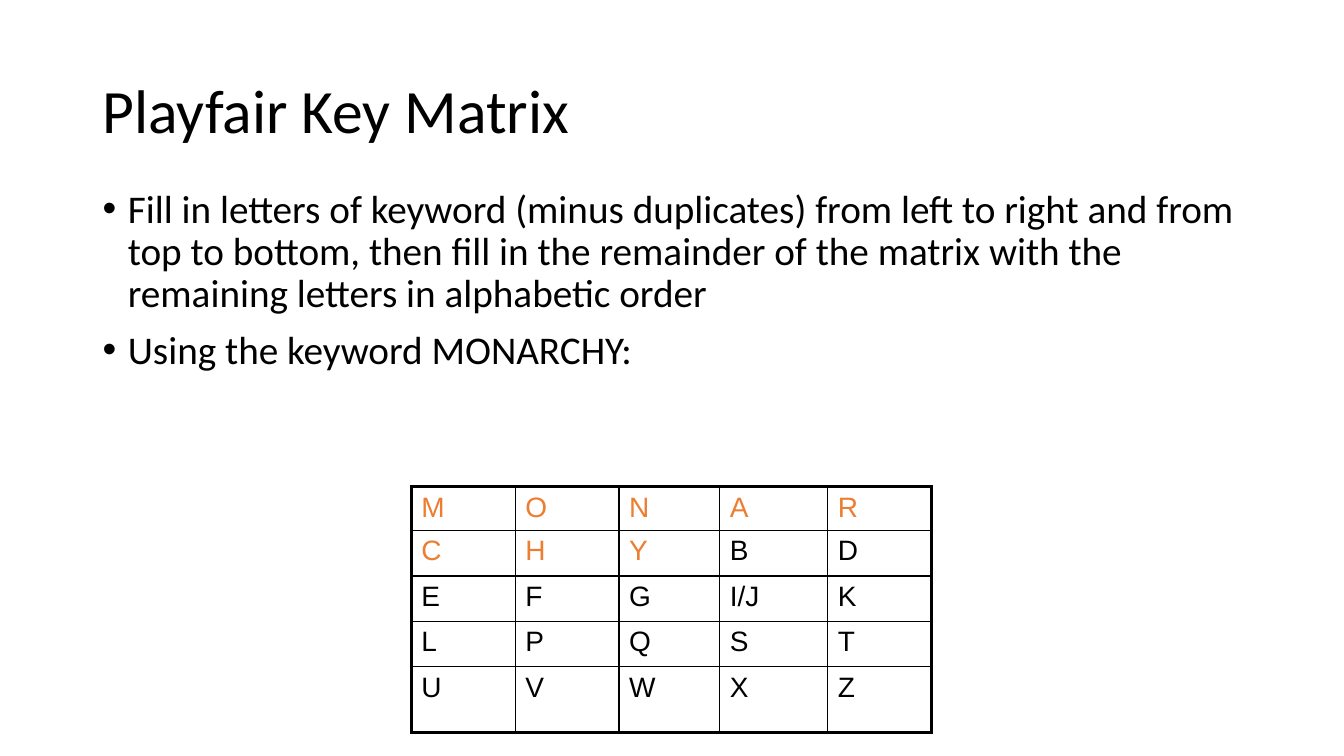
"""Build the Playfair Key Matrix slide."""
from lxml.etree import SubElement
from pptx import Presentation
from pptx.dml.color import RGBColor
from pptx.enum.text import MSO_ANCHOR
from pptx.oxml.ns import qn
from pptx.util import Inches, Pt

BLACK = RGBColor(0x00, 0x00, 0x00)
ORANGE = RGBColor(0xED, 0x7D, 0x31)
KEYWORD = "MONARCHY"
BULLETS = [
    "Fill in letters of keyword (minus duplicates) from left to right and from "
    "top to bottom, then fill in the remainder of the matrix with the "
    "remaining letters in alphabetic order",
    f"Using the keyword {KEYWORD}:",
]
COL_WIDTHS = [1.03, 1.03, 1, 1.07, 1.03]
ROW_HEIGHTS = [0.43, 0.45, 0.45, 0.45, 0.65]
SIZE = len(COL_WIDTHS)


def style(p, font, size, color):
    for r in p.runs:
        r.font.name = font
        r.font.size = Pt(size)
        r.font.color.rgb = color


def add_border(cell, side, width):
    ln = SubElement(cell._tc.get_or_add_tcPr(), qn(f"a:ln{side}"), w=str(Pt(width)))
    fill = SubElement(ln, qn("a:solidFill"))
    SubElement(fill, qn("a:srgbClr"), val=str(BLACK))


prs = Presentation()
prs.slide_width = Inches(13.33)
prs.slide_height = Inches(7.5)
s = prs.slides.add_slide(prs.slide_layouts[6])

title = s.shapes.add_textbox(Inches(0.92), Inches(0.4), Inches(11.5), Inches(1.45))
tf = title.text_frame
tf.word_wrap = True
tf.vertical_anchor = MSO_ANCHOR.MIDDLE
tf.text = "Playfair Key Matrix"
tf.paragraphs[0].line_spacing = 0.9
style(tf.paragraphs[0], "Calibri", 44, BLACK)

body = s.shapes.add_textbox(Inches(0.92), Inches(1.83), Inches(11.74), Inches(4.78))
tf = body.text_frame
tf.word_wrap = True
for i, text in enumerate(BULLETS):
    p = tf.add_paragraph() if i else tf.paragraphs[0]
    p.text = text
    p.line_spacing = 0.9
    p.space_before = Pt(10)
    style(p, "Calibri", 28, BLACK)
    pPr = p._p.get_or_add_pPr()
    pPr.set("marL", str(Inches(0.25)))
    pPr.set("indent", str(Inches(-0.25)))
    SubElement(pPr, qn("a:buFont"), typeface="Arial")
    SubElement(pPr, qn("a:buChar"), char="•")

rest = [c for c in "ABCDEFGHIKLMNOPQRSTUVWXYZ" if c not in KEYWORD]
letters = list(KEYWORD) + ["I/J" if c == "I" else c for c in rest]

table = s.shapes.add_table(SIZE, SIZE, Inches(4.08), Inches(4.83),
                           Inches(sum(COL_WIDTHS)), Inches(sum(ROW_HEIGHTS))).table
table.first_row = False
table.horz_banding = False
for col, width in zip(table.columns, COL_WIDTHS):
    col.width = Inches(width)
for row, height in zip(table.rows, ROW_HEIGHTS):
    row.height = Inches(height)

for i, letter in enumerate(letters):
    row, col = divmod(i, SIZE)
    cell = table.cell(row, col)
    cell.text_frame.text = letter
    style(cell.text_frame.paragraphs[0], "Arial", 20,
          ORANGE if i < len(KEYWORD) else BLACK)
    outer = {"L": col == 0, "R": col == SIZE - 1, "T": row == 0, "B": row == SIZE - 1}
    for side, is_outer in outer.items():
        add_border(cell, side, 2.25 if is_outer else 1)
    cell.fill.background()

prs.save("out.pptx")
